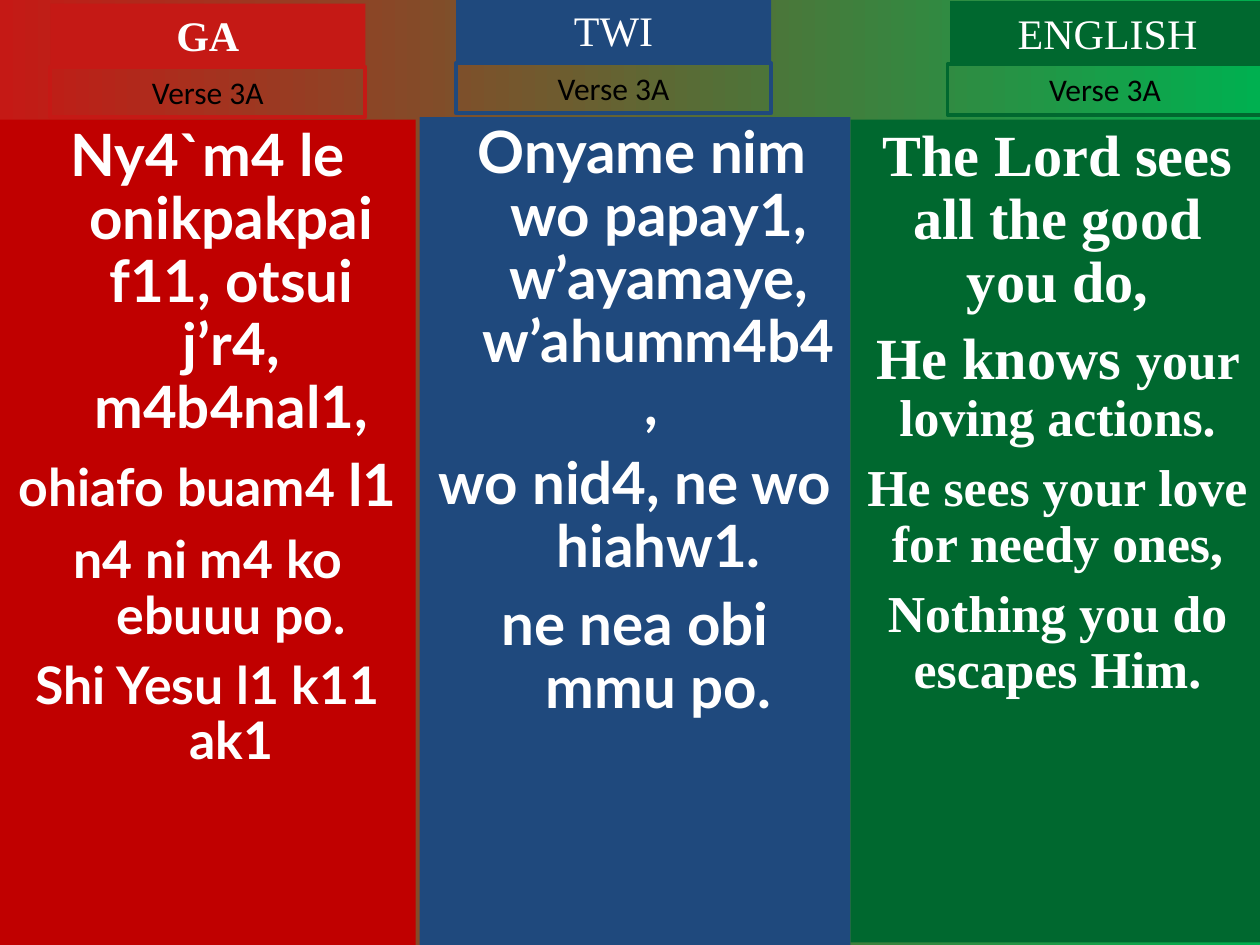
"""Build a three-language hymn slide with one column per language."""
from dataclasses import dataclass

import pptx
import pptx.dml.color
import pptx.enum.shapes
import pptx.enum.text
import pptx.util

Pt = pptx.util.Pt
BIG, SMALL = 33.3, 29.6
WHITE, BLACK = "FFFFFF", "000000"


@dataclass
class Box:
    x: float
    y: float
    w: float
    h: float


@dataclass
class Run:
    text: str
    size: float = BIG


@dataclass
class Para:
    runs: list[Run]
    before: float = 0


@dataclass
class Language:
    name: str
    title_box: Box
    verse_box: Box
    lyric_box: Box
    title_color: str
    lyric_color: str
    font: str
    hanging: float
    title_bold: bool
    lyrics: list[Para]


LANGUAGES = [
    Language("GA", Box(28.8, 2.16, 180, 36), Box(28.8, 38.16, 180, 28.8),
             Box(0, 68.4, 237.6, 471.6), "C51915", "C00000", "Lato", 27, True, [
        Para([Run("Ny4`m4 le onikpakpai f11, otsui j’r4, m4b4nal1,")]),
        Para([Run("ohiafo buam4 ", SMALL), Run("l1 ")], 9),
        Para([Run("n4 ni m4 ko ebuuu po.", SMALL)], 8),
        Para([Run("Shi Yesu l1 k11 ak1", SMALL)], 8),
    ]),
    Language("TWI", Box(260.64, -0.72, 180, 36), Box(260.64, 36, 180, 28.8),
             Box(239.76, 66.96, 246.24, 473.04), "1F497D", "1F497D", "Lato", 27, False, [
        Para([Run(" Onyame nim wo papay1, w’ayamaye, w’ahumm4b4, ")]),
        Para([Run("wo nid4, ne wo hiahw1.")], 9),
        Para([Run("ne nea obi mmu po.")], 9),
    ]),
    Language("ENGLISH", Box(542.88, 0.72, 180, 36), Box(541.44, 36.72, 180, 28.8),
             Box(486, 68.4, 236.88, 470.16), "00682F", "00682F", "Times New Roman", 0, False, [
        Para([Run("The Lord sees all the good you do,")]),
        Para([Run("He knows "), Run("your loving actions.", SMALL)], 8),
        Para([Run("He sees your love for needy ones,", SMALL)], 8),
        Para([Run("Nothing you do escapes Him.", SMALL)], 8),
    ]),
]


def rgb(value: str) -> pptx.dml.color.RGBColor:
    return pptx.dml.color.RGBColor.from_string(value)


def apply(target: object, values: dict) -> None:
    for name, value in values.items():
        setattr(target, name, value)


def add_box(s, box: Box, paras: list[Para], font: str, color: str, fill: str = "",
            line: str = "", bold: bool = False, spacing: float = 1,
            hanging: float = 0, grow: bool = False) -> None:
    sp = s.shapes.add_shape(pptx.enum.shapes.MSO_SHAPE.RECTANGLE,
                            Pt(box.x), Pt(box.y), Pt(box.w), Pt(box.h))
    sp.shadow.inherit = False
    if fill:
        sp.fill.solid()
        sp.fill.fore_color.rgb = rgb(fill)
    else:
        sp.fill.background()
    if line:
        sp.line.color.rgb = rgb(line)
        sp.line.width = Pt(2.25)
    else:
        sp.line.fill.background()
    tf = sp.text_frame
    sizing = pptx.enum.text.MSO_AUTO_SIZE
    apply(tf, {
        "word_wrap": True,
        "vertical_anchor": pptx.enum.text.MSO_ANCHOR.TOP,
        "auto_size": sizing.SHAPE_TO_FIT_TEXT if grow else sizing.NONE,
        "margin_left": Pt(7.2), "margin_right": Pt(7.2),
        "margin_top": Pt(3.6), "margin_bottom": Pt(3.6),
    })
    for i, para in enumerate(paras):
        p = tf.add_paragraph() if i else tf.paragraphs[0]
        apply(p, {"alignment": pptx.enum.text.PP_ALIGN.CENTER,
                  "line_spacing": spacing, "space_before": Pt(para.before)})
        if hanging:
            pPr = p._p.get_or_add_pPr()
            pPr.set("marL", str(Pt(hanging)))
            pPr.set("indent", str(-Pt(hanging)))
        for run in para.runs:
            r = p.add_run()
            r.text = run.text
            apply(r.font, {"name": font, "size": Pt(run.size), "bold": bold})
            r.font.color.rgb = rgb(color)


def add_language(s, lang: Language) -> None:
    add_box(s, lang.lyric_box, lang.lyrics, lang.font, WHITE, fill=lang.lyric_color,
            bold=True, spacing=0.9, hanging=lang.hanging)
    add_box(s, lang.title_box, [Para([Run(lang.name, 24)])], "Times New Roman", WHITE,
            fill=lang.title_color, bold=lang.title_bold, grow=True)
    add_box(s, lang.verse_box, [Para([Run("Verse 3A", 18)])], "Calibri", BLACK,
            line=lang.title_color, grow=True)


def set_background(s, colors: list[str]) -> None:
    fill = s.background.fill
    fill.gradient()
    fill.gradient_angle = 0
    for i, (stop, color) in enumerate(zip(fill.gradient_stops, colors)):
        stop.position = i
        stop.color.rgb = rgb(color)


def main() -> None:
    prs = pptx.Presentation()
    apply(prs, {"slide_width": Pt(720), "slide_height": Pt(540)})
    s = prs.slides.add_slide(prs.slide_layouts[6])
    set_background(s, ["C51915", "00B050"])
    for lang in LANGUAGES:
        add_language(s, lang)
    prs.save("out.pptx")


if __name__ == "__main__":
    main()
